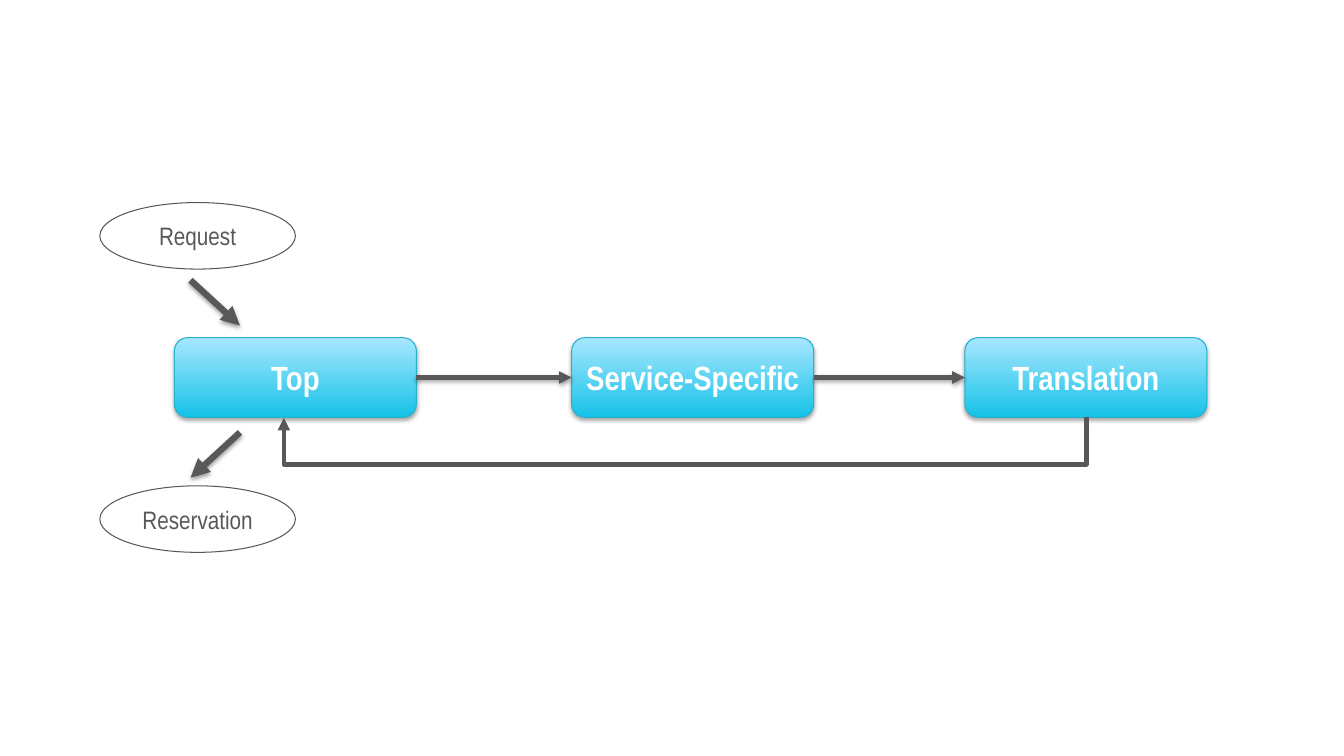
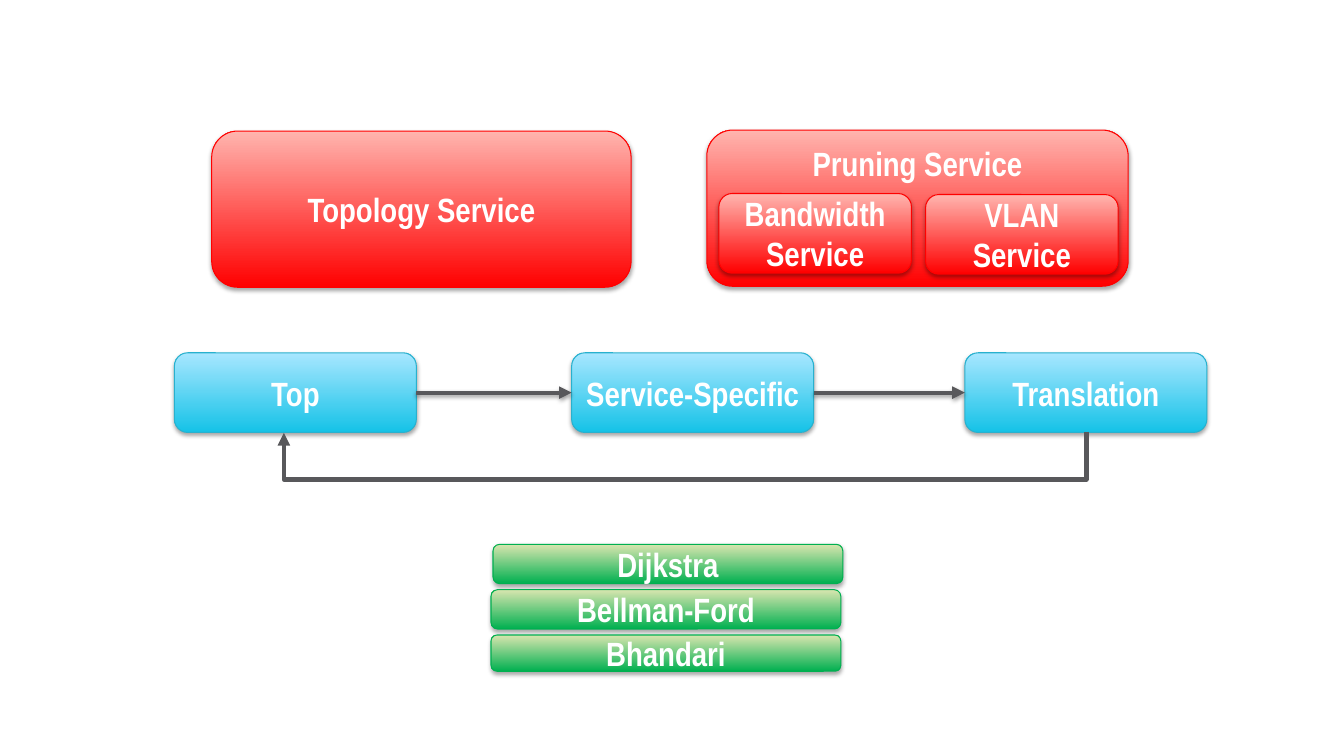
from dataclasses import dataclass

from lxml import etree
from pptx import Presentation
from pptx.dml.color import RGBColor
from pptx.enum.shapes import MSO_CONNECTOR, MSO_SHAPE
from pptx.enum.text import MSO_ANCHOR, PP_ALIGN
from pptx.oxml.ns import qn
from pptx.shapes.autoshape import Shape
from pptx.shapes.connector import Connector
from pptx.slide import Slide
from pptx.util import Emu, Pt

ROUND, OVAL = MSO_SHAPE.ROUNDED_RECTANGLE, MSO_SHAPE.OVAL
STRAIGHT, ELBOW = MSO_CONNECTOR.STRAIGHT, MSO_CONNECTOR.ELBOW
TOP, MIDDLE = MSO_ANCHOR.TOP, MSO_ANCHOR.MIDDLE
CENTER = PP_ALIGN.CENTER
LEFT_SIDE, RIGHT_SIDE = 1, 3

SCALE = 9144  # EMU in one px, 100 px to the inch
FONT = "Arial Narrow"
COLORS = {
    "white": "FFFFFF", "gray": "58585B", "black": "000000",
    "blue": "15C2E7", "sky": "A8E7FF", "teal": "28B1CE",
    "red": "FF0000", "pink": "FFB5AF",
    "green": "00B050", "lime": "D9E5AF",
}


@dataclass(frozen=True)
class Skin:
    low: str
    high: str
    edge: str


BLUE = Skin("blue", "sky", "teal")
RED = Skin("red", "pink", "red")
GREEN = Skin("green", "lime", "green")


@dataclass(frozen=True)
class Box:
    text: str
    left: int
    top: int
    width: int
    height: int
    skin: Skin
    anchor: MSO_ANCHOR = MIDDLE


STEPS = (("Top", 173), ("Service-Specific", 567), ("Translation", 957))
STEP_W, STEP_H = 240, 79
LOOP_END, LOOP_DROP = 281, 48

SERVICES = (
    Box("Pruning Service", 701, 129, 418, 155, RED, TOP),
    Box("Bandwidth Service", 713, 192, 191, 79, RED),
    Box("VLAN Service", 918, 193, 191, 79, RED),
    Box("Topology Service", 210, 130, 416, 155, RED),
)
PATHS = (
    Box("Dijkstra", 489, 540, 347, 39, GREEN),
    Box("Bellman-Ford", 487, 585, 347, 39, GREEN),
    Box("Bhandari", 487, 630, 347, 36, GREEN),
)


def px(count: int) -> Emu:
    return Emu(count * SCALE)


def rgb(name: str) -> RGBColor:
    return RGBColor.from_string(COLORS[name])


def add_shade(item: Shape | Connector, alpha: int, dist: int) -> None:
    """Put a soft drop shadow below a shape or line."""
    props = item._element.spPr
    effects = props.find(qn("a:effectLst"))
    shade = etree.SubElement(effects, qn("a:outerShdw"), blurRad="40000",
                             dist=str(dist), dir="5400000", rotWithShape="0")
    tint = etree.SubElement(shade, qn("a:srgbClr"), val=COLORS["black"])
    etree.SubElement(tint, qn("a:alpha"), val=str(alpha * 1000))


def add_label(shape: Shape, text: str, size: int, color: str,
              bold: bool, anchor: MSO_ANCHOR = MIDDLE) -> None:
    frame = shape.text_frame
    frame.word_wrap = True
    frame.vertical_anchor = anchor
    para = frame.paragraphs[0]
    para.alignment = CENTER
    run = para.add_run()
    run.text = text
    run.font.name = FONT
    run.font.size = Pt(size)
    run.font.bold = bold
    run.font.color.rgb = rgb(color)


def add_shell(slide: Slide, kind: MSO_SHAPE, left: int, top: int,
              width: int, height: int, edge: str) -> Shape:
    """Add an outlined shape that has no shadow yet."""
    shape = slide.shapes.add_shape(kind, px(left), px(top), px(width), px(height))
    shape.shadow.inherit = False
    shape.line.color.rgb = rgb(edge)
    shape.line.width = Pt(0.75)
    return shape


def add_box(slide: Slide, box: Box) -> Shape:
    skin = box.skin
    shape = add_shell(slide, ROUND, box.left, box.top, box.width, box.height, skin.edge)
    shape.fill.gradient()
    shape.fill.gradient_angle = 90
    for stop, name in zip(shape.fill.gradient_stops, (skin.low, skin.high)):
        stop.color.rgb = rgb(name)
    add_shade(shape, 35, 23000)
    add_label(shape, box.text, 24, "white", True, box.anchor)
    return shape


def add_oval(slide: Slide, text: str, top: int) -> None:
    shape = add_shell(slide, OVAL, 99, top, 194, 66, "gray")
    shape.fill.background()
    add_label(shape, text, 18, "gray", False)


def add_arrow(slide: Slide, kind: MSO_CONNECTOR, start: tuple[int, int],
              end: tuple[int, int], weight: float) -> Connector:
    """Add a gray line with an arrowhead at its end and no shadow yet."""
    points = (px(value) for value in (*start, *end))
    arrow = slide.shapes.add_connector(kind, *points)
    arrow.line.color.rgb = rgb("gray")
    arrow.line.width = Pt(weight)
    etree.SubElement(arrow.line._get_or_add_ln(), qn("a:tailEnd"), type="triangle")
    etree.SubElement(arrow._element.spPr, qn("a:effectLst"))
    return arrow


def add_loop(slide: Slide, start: int, end: int, top: int) -> None:
    """Lead back from start to end, below the row whose foot is at top."""
    # The elbow is laid out upright, then turned a quarter about its centre.
    mid, half = (start + end) // 2, (start - end) // 2
    loop = add_arrow(slide, ELBOW, (mid, top - half), (mid + 1, top + half), 3)
    props = loop._element.spPr
    props.find(qn("a:xfrm")).set("rot", "5400000")
    guides = props.find(qn("a:prstGeom")).find(qn("a:avLst"))
    etree.SubElement(guides, qn("a:gd"), name="adj1",
                     fmla=f"val {LOOP_DROP * 100000}")


def add_flow(slide: Slide, top: int) -> None:
    """Draw the three steps, the arrows between them and the way back."""
    boxes = [add_box(slide, Box(text, left, top, STEP_W, STEP_H, BLUE))
             for text, left in STEPS]
    middle = top + STEP_H // 2
    for index in range(len(boxes) - 1):
        start, end = STEPS[index][1] + STEP_W, STEPS[index + 1][1]
        arrow = add_arrow(slide, STRAIGHT, (start, middle), (end, middle), 3)
        arrow.begin_connect(boxes[index], RIGHT_SIDE)
        arrow.end_connect(boxes[index + 1], LEFT_SIDE)
        add_shade(arrow, 38, 20000)
    add_loop(slide, STEPS[-1][1] + STEP_W // 2 + 1, LOOP_END, top + STEP_H)


def add_request(slide: Slide) -> None:
    add_flow(slide, 335)
    for start, end in (((189, 278), (238, 323)), ((238, 429), (189, 474))):
        add_shade(add_arrow(slide, STRAIGHT, start, end, 4.5), 38, 20000)
    add_oval(slide, "Request", 201)
    add_oval(slide, "Reservation", 482)


def add_modules(slide: Slide) -> None:
    for box in SERVICES + PATHS:
        add_box(slide, box)
    add_flow(slide, 350)


def main() -> None:
    deck = Presentation()
    deck.slide_width, deck.slide_height = px(1333), px(750)
    blank = deck.slide_layouts[6]
    for draw in (add_request, add_modules):
        draw(deck.slides.add_slide(blank))
    deck.save("out.pptx")


if __name__ == "__main__":
    main()
